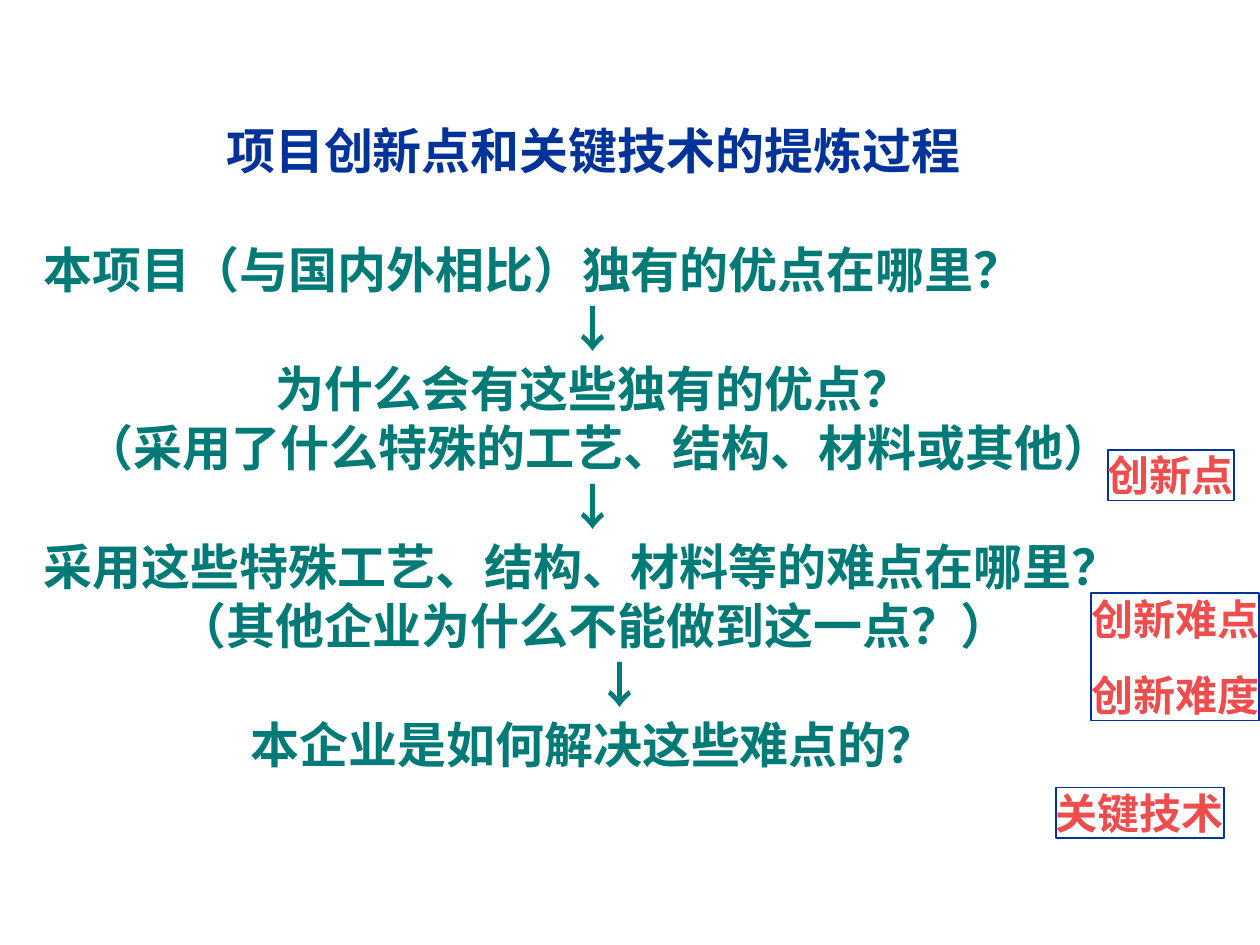
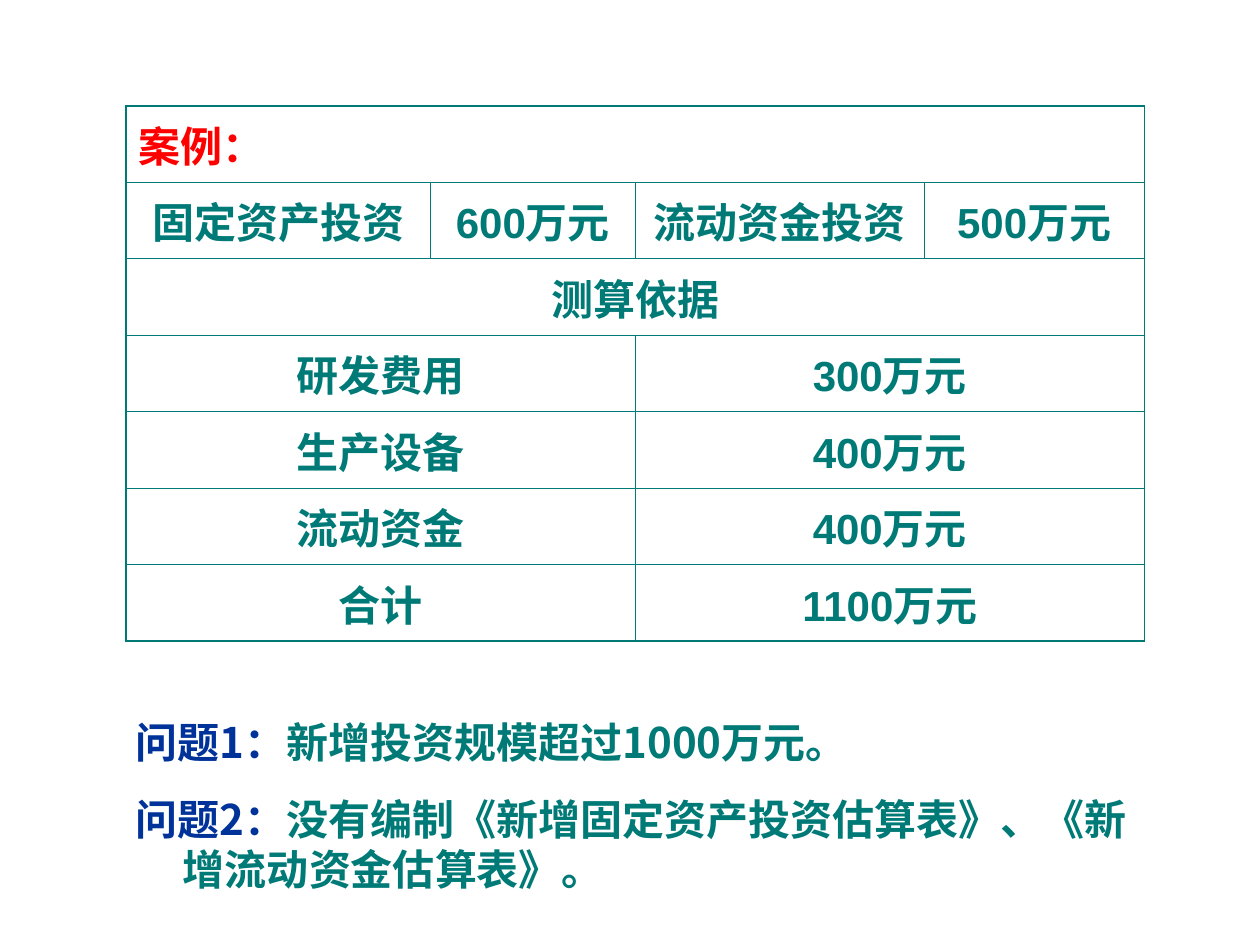
from lxml import etree
from pptx import Presentation
from pptx.dml.color import RGBColor
from pptx.enum import shapes, text
from pptx.oxml import ns
from pptx.util import Pt

NAVY, TEAL, CORAL, RED = "003399", "007A77", "ED4D4D", "FF0000"
CJK_FONT = "Noto Sans CJK SC"
LEFT, CENTER = text.PP_ALIGN.LEFT, text.PP_ALIGN.CENTER
HANGING = (27, -27)


def color(value):
    return RGBColor.from_string(value)


def add_span(para, words, size, ink, font=CJK_FONT):
    span = para.add_run()
    span.text = words
    span.font.size = Pt(size)
    span.font.bold = True
    span.font.name = font
    span.font.color.rgb = color(ink)
    east_asian = etree.SubElement(span.font._element, ns.qn("a:ea"))
    east_asian.set("typeface", CJK_FONT)


def add_para(frame, align=LEFT, before=0, indent=(0, 0)):
    """Return the next paragraph, using the empty first one if it is free."""
    first = frame.paragraphs[0]
    para = frame.add_paragraph() if first.runs else first
    para.alignment = align
    para.space_before = Pt(before)
    margin, first_line = indent
    properties = para._p.get_or_add_pPr()
    properties.set("marL", str(Pt(margin)))
    properties.set("indent", str(Pt(first_line)))
    return para


def add_text_box(page, left, top, width, height):
    box = page.shapes.add_textbox(Pt(left), Pt(top), Pt(width), Pt(height))
    box.text_frame.word_wrap = True
    return box.text_frame


def add_question_flow(page, left, top, width, height):
    frame = add_text_box(page, left, top, width, height)
    last_arrow_indent = (31, 0)
    lines = [
        ("项目创新点和关键技术的提炼过程", CENTER, HANGING, 7, NAVY),
        ("本项目（与国内外相比）独有的优点在哪里？", LEFT, HANGING, 41, TEAL),
        ("↓", CENTER, HANGING, 7, TEAL),
        ("为什么会有这些独有的优点？", CENTER, HANGING, 7, TEAL),
        (" （采用了什么特殊的工艺、结构、材料或其他）", CENTER, HANGING, 7, TEAL),
        ("↓", CENTER, HANGING, 7, TEAL),
        ("采用这些特殊工艺、结构、材料等的难点在哪里？", LEFT, HANGING, 7, TEAL),
        ("（其他企业为什么不能做到这一点？）", CENTER, HANGING, 7, TEAL),
        ("↓", CENTER, last_arrow_indent, 7, TEAL),
        ("本企业是如何解决这些难点的？", CENTER, HANGING, 7, TEAL),
    ]
    for words, align, indent, before, ink in lines:
        para = add_para(frame, align, before, indent)
        para.line_spacing = 0.8
        add_span(para, words, 28, ink)


def add_label(page, left, top, width, height, lines):
    box = page.shapes.add_shape(shapes.MSO_SHAPE.RECTANGLE,
                                Pt(left), Pt(top), Pt(width), Pt(height))
    box.shadow.inherit = False
    box.fill.background()
    box.line.color.rgb = color(NAVY)
    box.line.width = Pt(1)
    frame = box.text_frame
    frame.margin_left = frame.margin_right = 0
    frame.margin_top = frame.margin_bottom = 0
    frame.word_wrap = False
    frame.auto_size = text.MSO_AUTO_SIZE.SHAPE_TO_FIT_TEXT
    frame.vertical_anchor = text.MSO_ANCHOR.TOP
    for words in lines:
        add_span(add_para(frame, before=15), words, 24, CORAL, "Times New Roman")


def set_borders(cell, outer_sides):
    properties = cell._tc.get_or_add_tcPr()
    for position, side in enumerate("LRTB"):
        width = 1.08 if side in outer_sides else 0.45
        line = etree.Element(ns.qn("a:ln" + side), w=str(Pt(width)))
        fill = etree.SubElement(line, ns.qn("a:solidFill"))
        etree.SubElement(fill, ns.qn("a:srgbClr"), val=TEAL)
        properties.insert(position, line)


def add_investment_table(page, left, top, widths, row_height):
    # Each row lists its texts; they share the four columns equally.
    rows = [
        ["案例："],
        ["固定资产投资", "600万元", "流动资金投资", "500万元"],
        ["测算依据"],
        ["研发费用", "300万元"],
        ["生产设备", "400万元"],
        ["流动资金", "400万元"],
        ["合计", "1100万元"],
    ]
    columns = len(widths)
    table = page.shapes.add_table(len(rows), columns, Pt(left), Pt(top),
                                  Pt(sum(widths)), Pt(row_height * len(rows))).table
    table.first_row = table.horz_banding = False
    for column, width in zip(table.columns, widths):
        column.width = Pt(width)
    for r, words_in_row in enumerate(rows):
        table.rows[r].height = Pt(row_height)
        for c in range(columns):
            cell = table.cell(r, c)
            cell.fill.background()
            edges = {"L": c == 0, "R": c == columns - 1,
                     "T": r == 0, "B": r == len(rows) - 1}
            set_borders(cell, [side for side, outer in edges.items() if outer])
        span_columns = columns // len(words_in_row)
        for i, words in enumerate(words_in_row):
            start = i * span_columns
            cell = table.cell(r, start)
            if span_columns > 1:
                cell.merge(table.cell(r, start + span_columns - 1))
            cell.vertical_anchor = text.MSO_ANCHOR.MIDDLE
            align, ink = (LEFT, RED) if r == 0 else (CENTER, TEAL)
            add_span(add_para(cell.text_frame, align, 6), words, 24, ink, "Arial")


def add_problems(page, left, top, width, height):
    frame = add_text_box(page, left, top, width, height)
    problems = [
        "新增投资规模超过1000万元。",
        "没有编制《新增固定资产投资估算表》、《新增流动资金估算表》。",
    ]
    for number, words in enumerate(problems, 1):
        para = add_para(frame, before=15, indent=HANGING)
        add_span(para, f"问题{number}：", 24, NAVY)
        add_span(para, words, 24, TEAL)


def build_process_page(page):
    add_question_flow(page, 18, 72, 642, 407.5)
    add_label(page, 623.5, 339, 96, 72.7, ["创新难点", "创新难度"])
    add_label(page, 603.4, 450, 96, 29, ["关键技术"])
    add_label(page, 633, 257, 72, 29, ["创新点"])


def build_case_page(page):
    add_investment_table(page, 72, 60.5, [174, 117, 165, 126], 43.7)
    add_problems(page, 70.5, 406, 590, 108.7)


def main():
    deck = Presentation()
    deck.slide_width, deck.slide_height = Pt(720), Pt(540)
    blank = deck.slide_layouts[6]
    for build in (build_process_page, build_case_page):
        build(deck.slides.add_slide(blank))
    deck.save("out.pptx")


if __name__ == "__main__":
    main()
